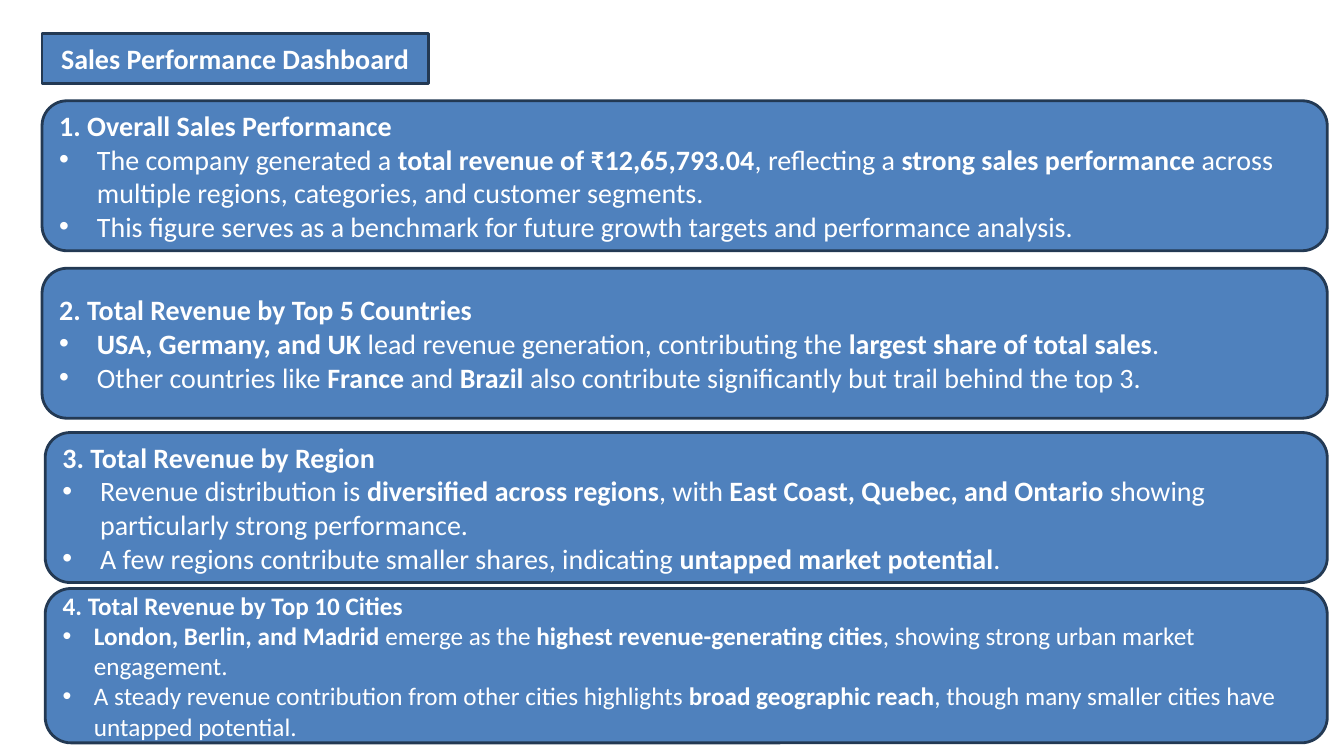
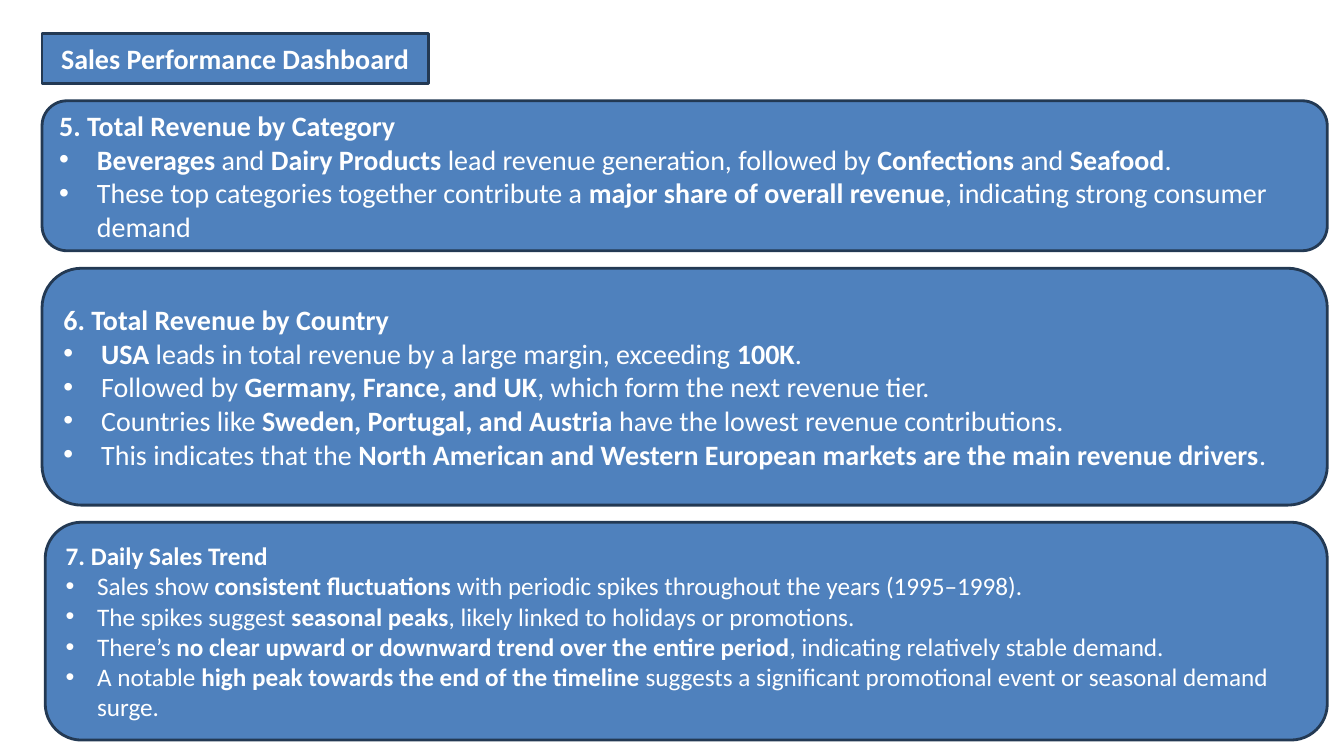
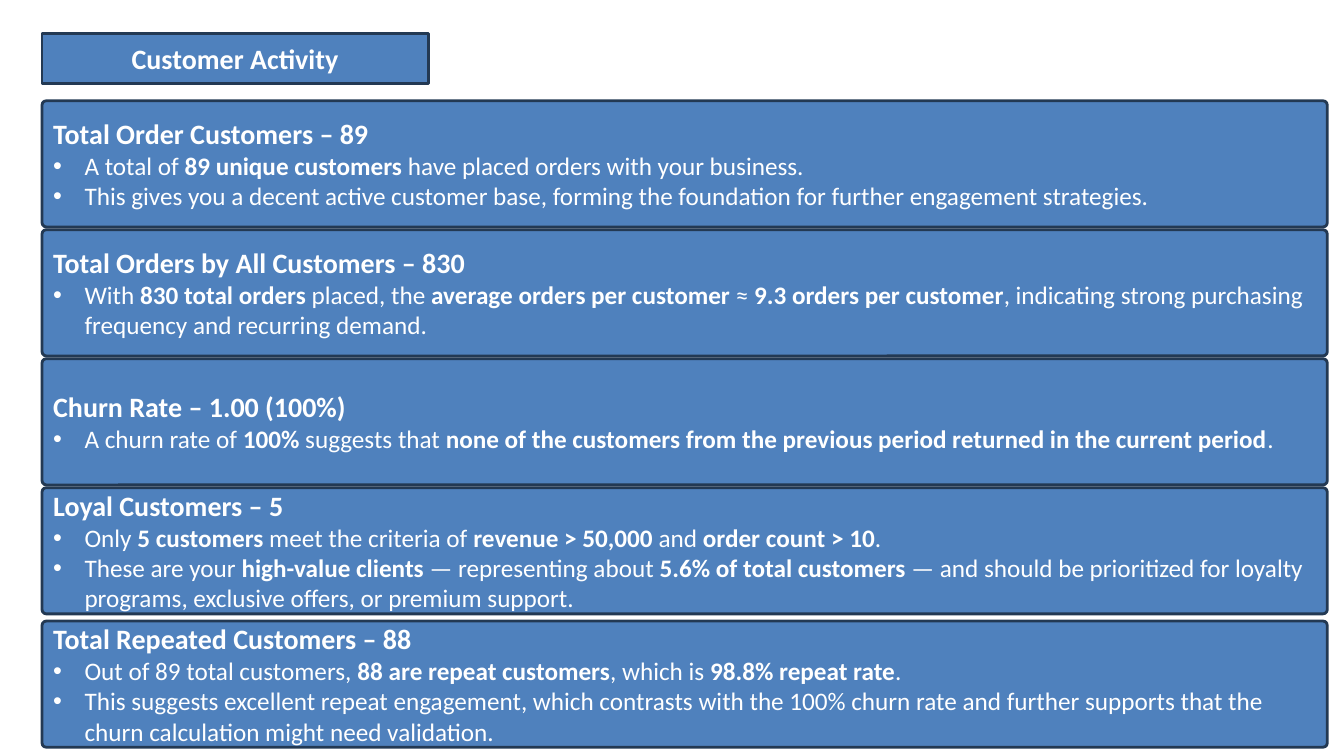
from dataclasses import dataclass

from lxml import etree
from pptx import Presentation
from pptx.dml.color import RGBColor
from pptx.enum.shapes import MSO_SHAPE
from pptx.enum.text import MSO_ANCHOR, MSO_AUTO_SIZE, PP_ALIGN
from pptx.oxml.ns import qn
from pptx.util import Cm, Pt

ROUNDED = MSO_SHAPE.ROUNDED_RECTANGLE
MIDDLE = MSO_ANCHOR.MIDDLE
NO_AUTOFIT = MSO_AUTO_SIZE.NONE
LEFT, CENTER = PP_ALIGN.LEFT, PP_ALIGN.CENTER
TITLE_ONLY = 5


# Shared look
@dataclass(frozen=True)
class Theme:
    font: str = "Calibri"
    fill: RGBColor = RGBColor(0x4F, 0x81, 0xBD)
    outline: RGBColor = RGBColor(0x23, 0x39, 0x53)
    text: RGBColor = RGBColor(0xFF, 0xFF, 0xFF)
    outline_width: float = 2
    large: int = 20
    small: int = 18
    left: float = 1.06
    inset_left: float = 1.14
    right: float = 33.45
    first_top: float = 2.54


THEME = Theme()
BULLET_INDENT = {THEME.large: 0.95, THEME.small: 0.79}


@dataclass(frozen=True)
class Panel:
    """A rounded box; text between ** marks is bold."""
    top: float
    height: float
    heading: str
    bullets: tuple[str, ...]
    left: float = THEME.left
    heading_size: int = THEME.large
    bullet_size: int = THEME.large
    corner: float | None = None


@dataclass(frozen=True)
class Page:
    title: str
    panels: tuple[Panel, ...]


# Content
OVERVIEW = Page("Sales Performance Dashboard", (
    Panel(THEME.first_top, 3.78, "1. Overall Sales Performance", (
        "The company generated a **total revenue of ₹12,65,793.04**, reflecting a "
        "**strong sales performance** across multiple regions, categories, and customer segments.",
        "This figure serves as a benchmark for future growth targets and performance analysis.",
    )),
    Panel(6.76, 3.78, "2. Total Revenue by Top 5 Countries", (
        "**USA, Germany, and UK** lead revenue generation, contributing the "
        "**largest share of total sales**.",
        "Other countries like **France** and **Brazil** also contribute significantly "
        "but trail behind the top 3.",
    )),
    Panel(10.9, 3.78, "3. Total Revenue by Region", (
        "Revenue distribution is **diversified across regions**, with "
        "**East Coast, Quebec, and Ontario** showing particularly strong performance.",
        "A few regions contribute smaller shares, indicating **untapped market potential**.",
    ), left=THEME.inset_left),
    Panel(14.83, 3.89, "4. Total Revenue by Top 10 Cities", (
        "**London, Berlin, and Madrid** emerge as the **highest revenue-generating cities**, "
        "showing strong urban market engagement.",
        "A steady revenue contribution from other cities highlights **broad geographic reach**, "
        "though many smaller cities have untapped potential.",
    ), left=THEME.inset_left, heading_size=THEME.small, bullet_size=THEME.small),
))

BREAKDOWN = Page("Sales Performance Dashboard", (
    Panel(THEME.first_top, 3.78, "5. Total Revenue by Category", (
        "**Beverages** and **Dairy Products** lead revenue generation, followed by "
        "**Confections** and **Seafood**.",
        "These top categories together contribute a **major share of overall revenue**, "
        "indicating strong consumer demand",
    )),
    Panel(6.76, 5.97, "6. Total Revenue by Country", (
        "**USA** leads in total revenue by a large margin, exceeding **100K**.",
        "Followed by **Germany, France, and UK**, which form the next revenue tier.",
        "Countries like **Sweden, Portugal, and Austria** have the lowest revenue contributions.",
        "This indicates that the **North American and Western European markets "
        "are the main revenue drivers**.",
    )),
    Panel(13.16, 5.49, "7. Daily Sales Trend", (
        "Sales show **consistent fluctuations** with periodic spikes throughout "
        "the years (1995–1998).",
        "The spikes suggest **seasonal peaks**, likely linked to holidays or promotions.",
        "There’s **no clear upward or downward trend over the entire period**, "
        "indicating relatively stable demand.",
        "A notable **high peak towards the end of the timeline** suggests a significant "
        "promotional event or seasonal demand surge.",
    ), left=THEME.inset_left, heading_size=THEME.small, bullet_size=THEME.small),
))


def customer_panel(row: int, heading: str, *bullets: str, drop: float = 0) -> Panel:
    """Place a customer panel on an even row grid, lowered by drop."""
    return Panel(THEME.first_top + 3.25 * row + drop, 3.18, heading, bullets,
                 bullet_size=THEME.small, corner=0.034)


CUSTOMERS = Page("Customer Activity", (
    customer_panel(
        0, "Total Order Customers – 89",
        "A total of **89 unique customers** have placed orders with your business.",
        "This gives you a decent active customer base, forming the foundation "
        "for further engagement strategies."),
    customer_panel(
        1, "Total Orders by All Customers – 830",
        "With **830 total orders** placed, the **average orders per customer** ≈ "
        "**9.3 orders per customer**, indicating strong purchasing frequency "
        "and recurring demand."),
    customer_panel(
        2, "Churn Rate – 1.00 (100%)",
        "A churn rate of **100%** suggests that **none of the customers from the "
        "previous period returned in the current period**."),
    customer_panel(
        3, "Loyal Customers – 5",
        "Only **5 customers** meet the criteria of **revenue > 50,000** and **order count > 10**.",
        "These are your **high-value clients** — representing about **5.6% of total customers** "
        "— and should be prioritized for loyalty programs, exclusive offers, or premium support."),
    customer_panel(
        4, "Total Repeated Customers – 88",
        "Out of 89 total customers, **88 are repeat customers**, which is **98.8% repeat rate**.",
        "This suggests excellent repeat engagement, which contrasts with the 100% churn rate "
        "and further supports that the churn calculation might need validation.",
        drop=0.11),
))


# Drawing
def style_box(shape) -> None:
    shape.fill.solid()
    shape.fill.fore_color.rgb = THEME.fill
    shape.line.color.rgb = THEME.outline
    shape.line.width = Pt(THEME.outline_width)
    text_frame = shape.text_frame
    text_frame.word_wrap = True
    text_frame.auto_size = NO_AUTOFIT
    text_frame.vertical_anchor = MIDDLE


def style_run(run, size: int, bold: bool) -> None:
    run.font.name = THEME.font
    run.font.size = Pt(size)
    run.font.bold = bold
    run.font.color.rgb = THEME.text


def add_bullet(paragraph, size: int) -> None:
    indent = Cm(BULLET_INDENT[size])
    properties = paragraph._p.get_or_add_pPr()
    properties.set("marL", str(indent))
    properties.set("indent", str(-indent))
    etree.SubElement(properties, qn("a:buFont")).set("typeface", "Arial")
    etree.SubElement(properties, qn("a:buChar")).set("char", "•")


def draw_title(slide, title: str) -> None:
    shape = slide.shapes.title
    shape.left, shape.top = Cm(THEME.left), Cm(0.84)
    shape.width, shape.height = Cm(9.73), Cm(1.27)
    style_box(shape)
    shape.text_frame.text = title
    paragraph = shape.text_frame.paragraphs[0]
    paragraph.alignment = CENTER
    style_run(paragraph.runs[0], THEME.large, True)


def draw_panel(slide, panel: Panel) -> None:
    shape = slide.shapes.add_shape(
        ROUNDED, Cm(panel.left), Cm(panel.top),
        Cm(THEME.right - panel.left), Cm(panel.height))
    shape.shadow.inherit = False
    if panel.corner is not None:
        shape.adjustments[0] = panel.corner
    style_box(shape)

    text_frame = shape.text_frame
    text_frame.text = panel.heading
    heading = text_frame.paragraphs[0]
    heading.alignment = LEFT
    style_run(heading.runs[0], panel.heading_size, True)

    for bullet in panel.bullets:
        paragraph = text_frame.add_paragraph()
        paragraph.alignment = LEFT
        add_bullet(paragraph, panel.bullet_size)
        for index, part in enumerate(bullet.split("**")):
            if part:
                run = paragraph.add_run()
                run.text = part
                style_run(run, panel.bullet_size, index % 2 == 1)


def main() -> None:
    presentation = Presentation()
    presentation.slide_width = Cm(33.87)
    presentation.slide_height = Cm(19.05)
    for page in (OVERVIEW, BREAKDOWN, CUSTOMERS):
        slide = presentation.slides.add_slide(presentation.slide_layouts[TITLE_ONLY])
        draw_title(slide, page.title)
        for panel in page.panels:
            draw_panel(slide, panel)
    presentation.save("out.pptx")


if __name__ == "__main__":
    main()
